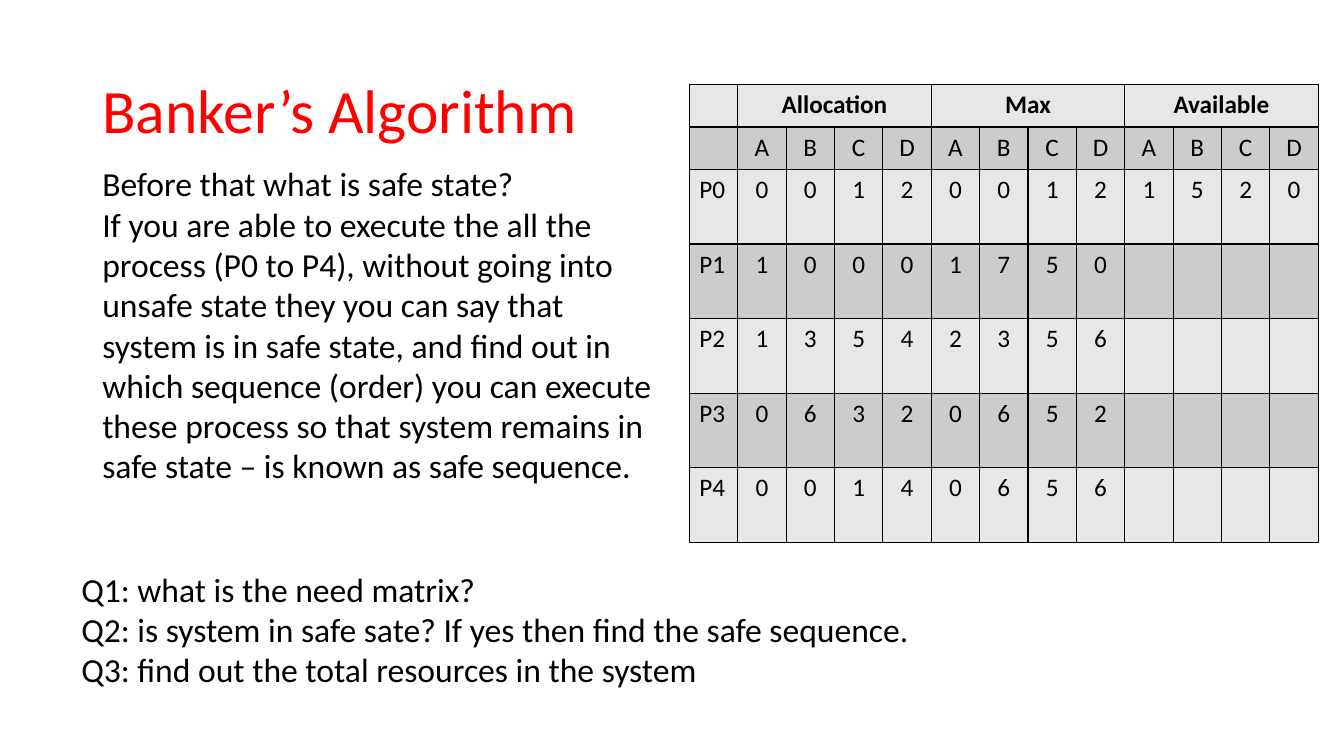
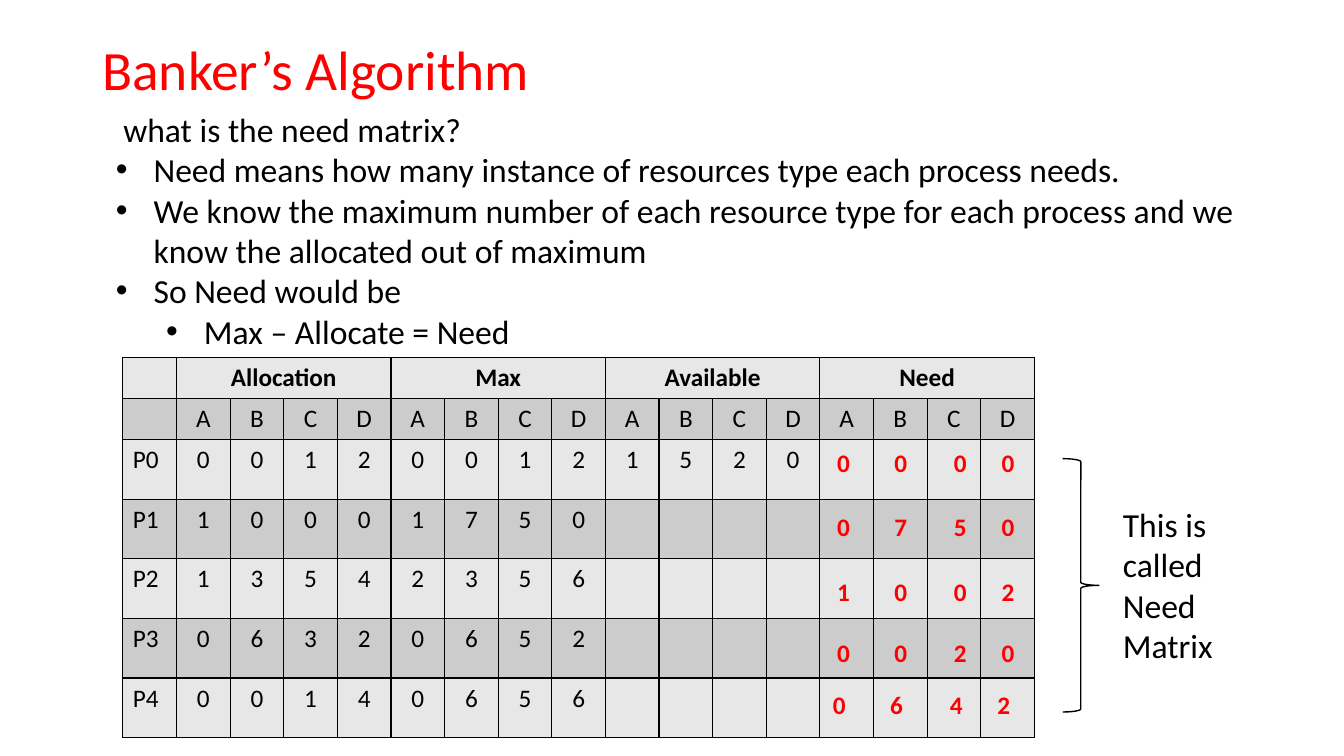
import pptx
import pptx.dml.color
import pptx.enum.shapes
import pptx.enum.text
import pptx.oxml
import pptx.oxml.ns
import pptx.util

Pt = pptx.util.Pt
ALIGN = pptx.enum.text.PP_ALIGN
ANCHOR = pptx.enum.text.MSO_ANCHOR

ALLOCATION = ["0012", "1000", "1354", "0632", "0014"]
MAXIMUM = ["0012", "1750", "2356", "0652", "0656"]
AVAILABLE = ["1520"]
NEED = [[int(m) - int(a) for m, a in zip(most, held)]
        for most, held in zip(MAXIMUM, ALLOCATION)]


def rgb(value):
    return pptx.dml.color.RGBColor.from_string(value)


class Deck:
    FONT = "Calibri"
    BLACK, RED = "000000", "FF0000"
    BANDS = ["E7E7E7", "CCCCCC"]
    BODY, SMALL = 24, 18

    def __init__(self):
        self.prs = pptx.Presentation()
        self.prs.slide_width, self.prs.slide_height = Pt(960), Pt(540)
        self.s = None

    def slide(self):
        self.s = self.prs.slides.add_slide(self.prs.slide_layouts[6])

    def style(self, p, size, color=BLACK, bold=False, align=None):
        p.alignment = align
        for r in p.runs:
            r.font.name, r.font.size, r.font.bold = self.FONT, Pt(size), bold
            r.font.color.rgb = rgb(color)

    def text(self, x, y, w, h, lines, size=BODY, group=None, **look):
        sp = (group or self.s).shapes.add_textbox(Pt(x), Pt(y), Pt(w), Pt(h))
        tf = sp.text_frame
        tf.word_wrap = True
        tf.text = "\n".join(lines)
        for p in tf.paragraphs:
            self.style(p, size, **look)
        return tf

    def title(self, text, height, size):
        tf = self.text(66, 28.8, 828, height, [text], size, color=self.RED)
        tf.vertical_anchor = ANCHOR.MIDDLE
        tf.paragraphs[0].line_spacing = 0.9

    def indent(self, p, left, bullet=False):
        pPr = p._p.get_or_add_pPr()
        pPr.set("marL", str(Pt(left)))
        if bullet:
            pPr.set("indent", str(Pt(-27)))
            ns = pptx.oxml.ns.nsdecls("a")
            for xml in (f'<a:buFont {ns} typeface="Arial"/>', f'<a:buChar {ns} char="•"/>'):
                pPr.append(pptx.oxml.parse_xml(xml))

    def cell(self, cell, text, fill, bold, align):
        tcPr = cell._tc.get_or_add_tcPr()
        for side in "LRTB":
            tcPr.append(pptx.oxml.parse_xml(
                f'<a:ln{side} {pptx.oxml.ns.nsdecls("a")} w="{Pt(1)}"><a:solidFill>'
                f'<a:srgbClr val="{self.BLACK}"/></a:solidFill></a:ln{side}>'))
        cell.fill.solid()
        cell.fill.fore_color.rgb = rgb(fill)
        cell.text_frame.text = text
        self.style(cell.text_frame.paragraphs[0], self.SMALL, bold=bold, align=align)

    def resource_table(self, x, y, col, head, row, blocks):
        """Draw a process table; blocks maps a heading to its rows of A-D digits."""
        n = 1 + 4 * len(blocks)
        heights = [head] * 2 + [row] * len(ALLOCATION)
        table = self.s.shapes.add_table(len(heights), n, Pt(x), Pt(y), Pt(n * col),
                                        Pt(sum(heights))).table
        table.first_row = table.horz_banding = False
        for column in table.columns:
            column.width = Pt(col)
        grid = [[""], [""]] + [[f"P{i}"] for i in range(len(ALLOCATION))]
        for heading, digits in blocks.items():
            grid[0] += [heading, "", "", ""]
            grid[1] += "ABCD"
            for i, line in enumerate(grid[2:]):
                line += digits[i] if i < len(digits) else [""] * 4
        for i, line in enumerate(grid):
            table.rows[i].height = Pt(heights[i])
            for j, text in enumerate(line):
                self.cell(table.cell(i, j), text, self.BANDS[i % 2], i == 0,
                          ALIGN.CENTER if j else ALIGN.LEFT)
        for j in range(1, n, 4):
            table.cell(0, j).merge(table.cell(0, j + 3))

    def number_row(self, xs, y, numbers):
        group = self.s.shapes.add_group_shape()
        for x, number in zip(xs, numbers):
            self.text(x, y, 30, 29, [str(number)], self.SMALL, group,
                      color=self.RED, bold=True, align=ALIGN.CENTER)

    def brace(self, x, y, w, h):
        sp = self.s.shapes.add_shape(pptx.enum.shapes.MSO_SHAPE.RIGHT_BRACE,
                                     Pt(x), Pt(y), Pt(w), Pt(h))
        sp.shadow.inherit = False
        sp.fill.background()
        sp.line.color.rgb = rgb(self.BLACK)
        sp.line.width = Pt(1)


def safe_state_slide(deck, blocks):
    deck.slide()
    deck.title("Banker’s Algorithm", 104.4, 44)
    deck.resource_table(492.4, 60.5, 34.56, 30.3, 53.3, blocks)
    deck.text(66, 113, 415, 240, [
        "Before that what is safe state?",
        "If you are able to execute the all the process (P0 to P4), without going into "
        "unsafe state they you can say that system is in safe state, and find out in which "
        "sequence (order) you can execute these process so that system remains in safe "
        "state – is known as safe sequence."])
    deck.text(51, 402.5, 828, 124, [
        "Q1: what is the need matrix?",
        "Q2: is system in safe sate? If yes then find the safe sequence.",
        "Q3: find out the total resources in the system"])


def need_matrix_slide(deck, blocks):
    deck.slide()
    deck.title("Banker’s Algorithm", 45.4, 39.6)
    deck.resource_table(87.8, 255.6, 38.3, 29.2, 42.6, {**blocks, "Need": []})
    tf = deck.text(75.6, 74.2, 860, 181, [
        "what is the need matrix?",
        "Need means how many instance of resources type each process needs.",
        "We know the maximum number of each resource type for each process and we know "
        "the allocated out of maximum",
        "So Need would be",
        "Max – Allocate = Need"])
    question, *points, formula = tf.paragraphs
    deck.indent(question, 5.4)
    for p in points:
        deck.indent(p, 27, bullet=True)
    formula.level = 1
    deck.indent(formula, 63, bullet=True)
    columns = [587.5, 628.5, 671, 705]
    rows = [(0, 316), (0, 361.5), (0, 408), (0, 452), (-3, 489)]
    for (shift, y), numbers in zip(rows, NEED):
        deck.number_row([x + shift for x in columns], y, numbers)
    deck.brace(759, 327.6, 26, 181)
    deck.text(795, 356.4, 100, 124, ["This is called Need Matrix"])


def main():
    deck = Deck()
    blocks = {"Allocation": ALLOCATION, "Max": MAXIMUM, "Available": AVAILABLE}
    safe_state_slide(deck, blocks)
    need_matrix_slide(deck, blocks)
    deck.prs.save("out.pptx")


if __name__ == "__main__":
    main()
